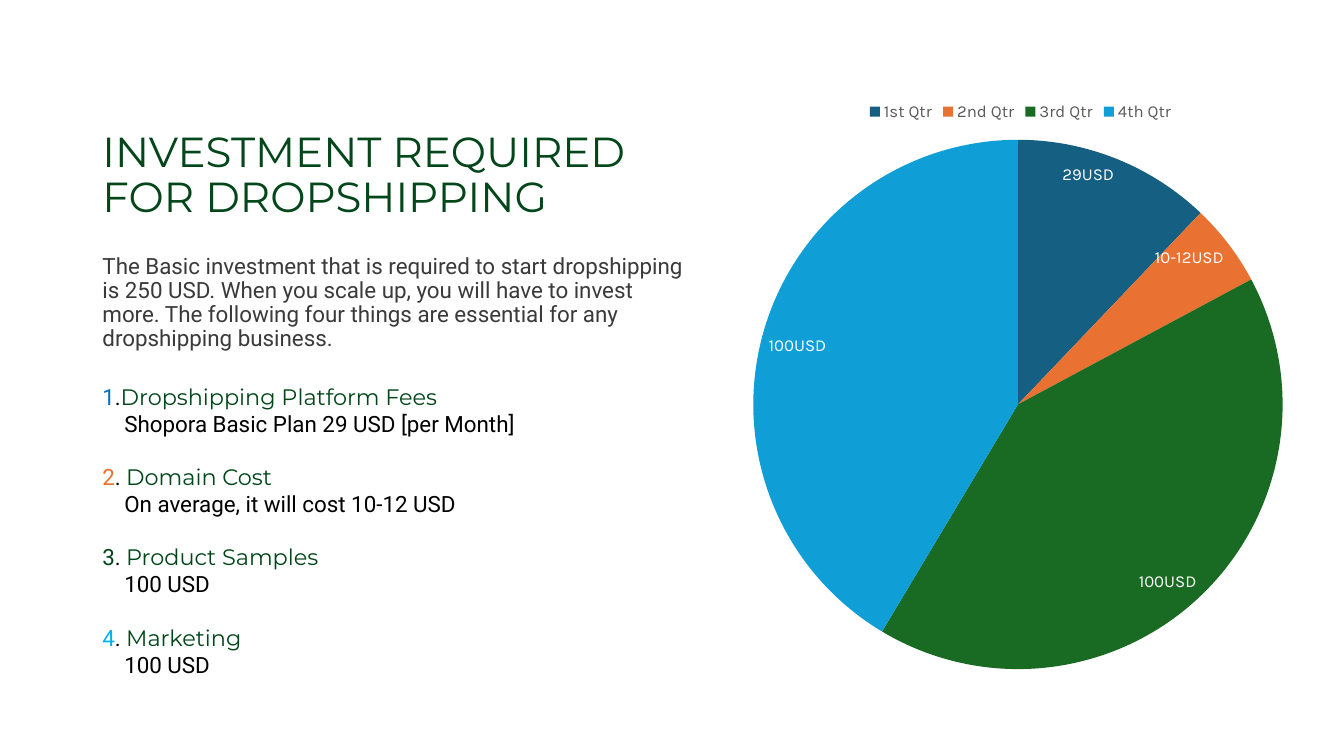
import dataclasses
import typing

import lxml.etree
import pptx
import pptx.chart.data
import pptx.dml.color
import pptx.enum.chart
import pptx.enum.text
import pptx.oxml
import pptx.oxml.ns
import pptx.util

EMU_PER_PX = 9525  # the page is 1280 by 720 px


@dataclasses.dataclass(frozen=True)
class Theme:
    heading_font: str = "Montserrat"
    body_font: str = "Roboto"
    chart_font: str = "Karla"
    title_size: int = 30
    body_size: int = 16
    chart_size: int = 12
    forest: str = "024619"
    gray: str = "3A3A3A"
    legend: str = "595959"
    black: str = "000000"
    white: str = "FFFFFF"


@dataclasses.dataclass(frozen=True)
class Cost:
    number: str
    number_color: str
    separator: str
    name: str
    detail: str


@dataclasses.dataclass(frozen=True)
class Slice:
    quarter: str
    share: int
    label: str
    color: str


THEME = Theme()
TITLE = "INVESTMENT REQUIRED FOR DROPSHIPPING"
INTRO = (
    "The Basic investment that is required to start dropshipping is 250 USD. "
    "When you scale up, you will have to invest more. The following four things "
    "are essential for any dropshipping business."
)
COSTS = [
    Cost("1", "0070C0", ".", "Dropshipping Platform Fees", "Shopora Basic Plan 29 USD [per Month]"),
    Cost("2", "E97132", ". ", "Domain Cost", "On average, it will cost 10-12 USD"),
    Cost("3", THEME.forest, ". ", "Product Samples", "100 USD"),
    Cost("4", "00B0F0", ". ", "Marketing", "100 USD"),
]
SLICES = [
    Slice("1st Qtr", 12, "29USD", "156082"),
    Slice("2nd Qtr", 5, "10-12USD", "E97132"),
    Slice("3rd Qtr", 41, "100USD", "196B24"),
    Slice("4th Qtr", 41, "100USD", "0F9ED5"),
]
PLOT_LAYOUT = {"x": 0.134, "y": 0.083, "w": 0.725, "h": 0.886}


def px(length: int) -> pptx.util.Emu:
    return pptx.util.Emu(length * EMU_PER_PX)


def place(box: typing.Any, left: int, top: int, width: int, height: int) -> None:
    box.left, box.top, box.width, box.height = map(px, (left, top, width, height))


def style_font(font: typing.Any, *, name: str, size: int, color: str) -> None:
    font.name = name
    font.size = pptx.util.Pt(size)
    font.bold = False
    font.color.rgb = pptx.dml.color.RGBColor.from_string(color)


def add_span(para: typing.Any, text: str, *, name: str = THEME.body_font,
             size: int = THEME.body_size, color: str = THEME.black) -> None:
    span = para.add_run()
    span.text = text
    style_font(span.font, name=name, size=size, color=color)


def set_up_placeholder(box: typing.Any, anchor: typing.Any) -> typing.Any:
    """Prepare a placeholder's frame and return its first paragraph."""
    frame = box.text_frame
    frame.word_wrap = True
    frame.auto_size = pptx.enum.text.MSO_AUTO_SIZE.NONE
    frame.vertical_anchor = anchor
    para = frame.paragraphs[0]
    para.alignment = pptx.enum.text.PP_ALIGN.LEFT
    para.line_spacing = 0.9
    para.space_before = pptx.util.Pt(0)
    return para


def add_title(page: typing.Any) -> None:
    box = page.shapes.title
    place(box, 88, 48, 570, 168)
    para = set_up_placeholder(box, pptx.enum.text.MSO_ANCHOR.BOTTOM)
    add_span(para, TITLE, name=THEME.heading_font, size=THEME.title_size, color=THEME.forest)


def add_intro(page: typing.Any) -> None:
    box = page.placeholders[1]
    place(box, 88, 238, 583, 133)
    para = set_up_placeholder(box, pptx.enum.text.MSO_ANCHOR.TOP)
    # Plain paragraph without the template's bullet and indent
    properties = para._p.get_or_add_pPr()
    properties.set("marL", "0")
    properties.set("indent", "0")
    lxml.etree.SubElement(properties, pptx.oxml.ns.qn("a:buNone"))
    add_span(para, INTRO, color=THEME.gray)


def add_costs(page: typing.Any) -> None:
    box = page.shapes.add_textbox(px(88), px(360), px(424), px(294))
    frame = box.text_frame
    frame.word_wrap = True
    frame.auto_size = pptx.enum.text.MSO_AUTO_SIZE.SHAPE_TO_FIT_TEXT
    for index, cost in enumerate(COSTS):
        para = frame.add_paragraph() if index else frame.paragraphs[0]
        para.space_before = pptx.util.Pt(19 if index else 0)
        add_span(para, cost.number, color=cost.number_color)
        add_span(para, cost.separator)
        add_span(para, cost.name, name=THEME.heading_font, color=THEME.forest)
        detail = frame.add_paragraph()
        detail._p.get_or_add_pPr().set("marL", str(px(21)))
        add_span(detail, cost.detail)


def fix_plot_area(chart: typing.Any) -> None:
    """Pin the inner plot area to fixed fractions of the chart frame."""
    plot_area = chart._chartSpace.chart.plotArea
    for old in plot_area.findall(pptx.oxml.ns.qn("c:layout")):
        plot_area.remove(old)
    modes = "".join(f'<c:{axis}Mode val="edge"/>' for axis in "xy")
    sizes = "".join(f'<c:{key} val="{value}"/>' for key, value in PLOT_LAYOUT.items())
    plot_area.insert(0, pptx.oxml.parse_xml(
        f'<c:layout {pptx.oxml.ns.nsdecls("c")}><c:manualLayout>'
        f'<c:layoutTarget val="inner"/>{modes}{sizes}</c:manualLayout></c:layout>'))


def add_pie(page: typing.Any) -> None:
    data = pptx.chart.data.CategoryChartData()
    data.categories = [part.quarter for part in SLICES]
    data.add_series("Series 1", [part.share for part in SLICES])
    chart = page.shapes.add_chart(
        pptx.enum.chart.XL_CHART_TYPE.PIE, px(624), px(86), px(696), px(569), data).chart
    style_font(chart.font, name=THEME.chart_font, size=THEME.chart_size, color=THEME.black)
    chart.has_title = False
    fix_plot_area(chart)

    # Legend
    chart.has_legend = True
    chart.legend.position = pptx.enum.chart.XL_LEGEND_POSITION.TOP
    chart.legend.include_in_layout = False
    style_font(chart.legend.font, name=THEME.chart_font, size=THEME.chart_size, color=THEME.legend)

    # Slices and their labels
    plot = chart.plots[0]
    plot.vary_by_categories = True
    series = plot.series[0]
    labels = series.data_labels
    labels.show_percentage = True
    labels.show_value = False
    labels.position = pptx.enum.chart.XL_LABEL_POSITION.INSIDE_END
    style_font(labels.font, name=THEME.chart_font, size=THEME.chart_size, color=THEME.white)
    for index, part in enumerate(SLICES):
        point = series.points[index]
        point.format.fill.solid()
        point.format.fill.fore_color.rgb = pptx.dml.color.RGBColor.from_string(part.color)
        point.format.line.fill.background()
        add_span(point.data_label.text_frame.paragraphs[0], part.label,
                 name=THEME.chart_font, size=THEME.chart_size, color=THEME.white)
        point.data_label.position = pptx.enum.chart.XL_LABEL_POSITION.INSIDE_END


def main() -> None:
    deck = pptx.Presentation()
    deck.slide_width, deck.slide_height = px(1280), px(720)
    page = deck.slides.add_slide(deck.slide_layouts[1])
    add_title(page)
    add_intro(page)
    add_costs(page)
    add_pie(page)
    deck.save("out.pptx")


if __name__ == "__main__":
    main()
